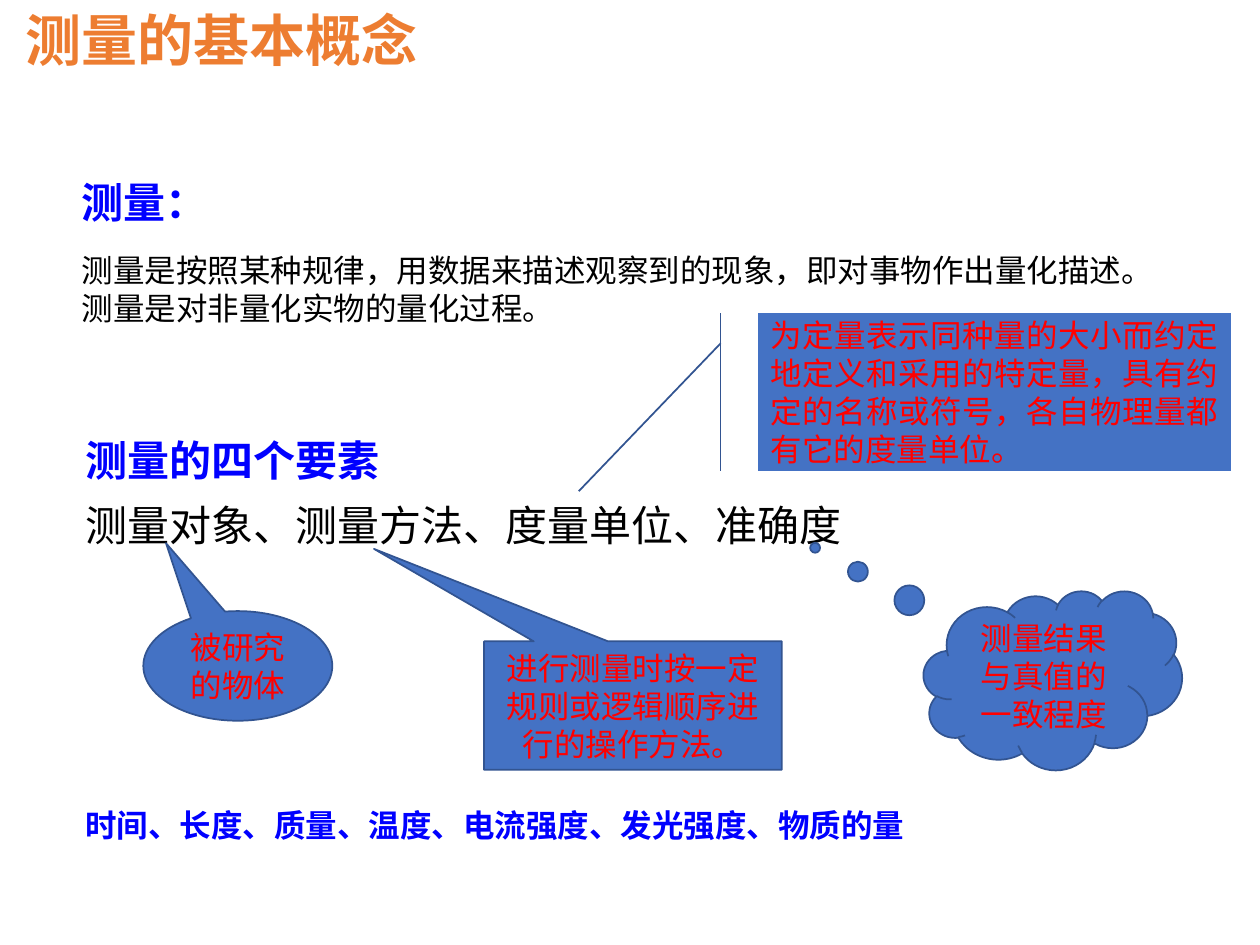
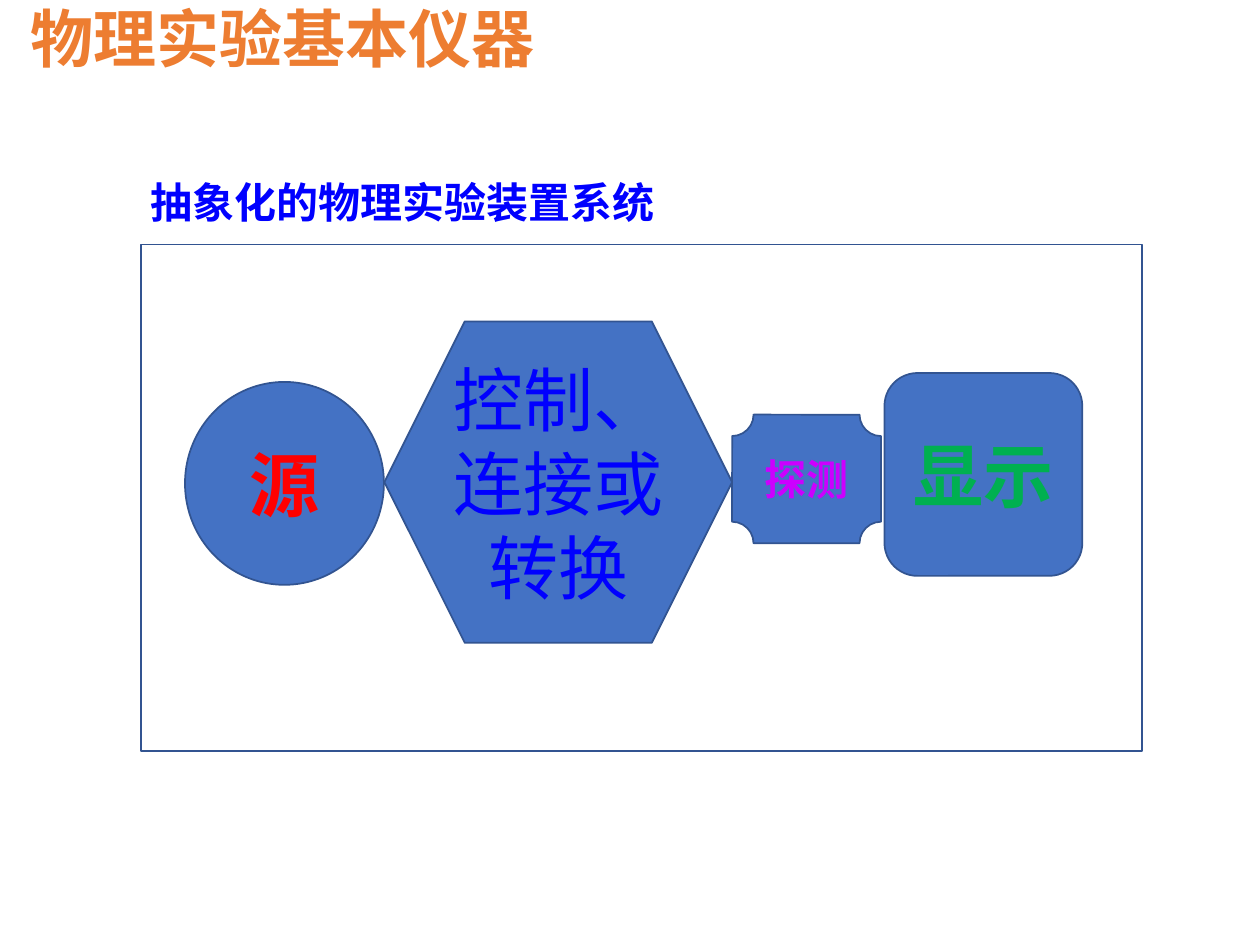
from dataclasses import dataclass

from pptx import Presentation, util as u
from pptx.dml.color import RGBColor
from pptx.enum import shapes, text

KIND = shapes.MSO_SHAPE
ALIGN = text.PP_ALIGN
ANCHOR = text.MSO_ANCHOR

ORANGE, BLUE, BLACK, RED = "ED7D31", "0000FF", "000000", "FF0000"
GREEN, PURPLE, WHITE = "00B050", "CC00FF", "FFFFFF"
FILL, EDGE = "4472C4", "325491"
HEAD, BODY, NOTE = "Noto Sans CJK SC", "Arial", "Calibri"
Box = tuple[float, float, float, float]


@dataclass
class Line:
    words: str
    size: int = 18
    color: str = BLACK
    bold: bool = False
    space: float = 1.0


@dataclass
class Block:
    box: Box
    lines: list[Line]


@dataclass
class Figure:
    kind: KIND
    box: Box
    line: Line | None = None
    align: ALIGN = ALIGN.CENTER
    tip: tuple[float, ...] = ()
    fill: str = FILL


@dataclass
class Page:
    title: str
    size: int
    corner: tuple[float, float]
    items: list[Block | Figure]


def rgb(code: str) -> RGBColor:
    return RGBColor.from_string(code)


def place(box: Box) -> list[u.Cm]:
    return [u.Cm(n) for n in box]


def style(font, name: str, size: int, color: str, bold: bool) -> None:
    font.name, font.size, font.bold = name, u.Pt(size), bold
    font.color.rgb = rgb(color)


def write(para, line: Line, name: str) -> None:
    para.text = line.words
    para.line_spacing = line.space
    style(para.font, name, line.size, line.color, line.bold)


def add_box(slide, box: Box):
    frame = slide.shapes.add_textbox(*place(box)).text_frame
    frame.word_wrap = True
    return frame


def add_title(slide, page: Page) -> None:
    """Write the title after a wider 40 pt space that indents it."""
    frame = add_box(slide, (*page.corner, 14.5, 2.57))
    frame.vertical_anchor = ANCHOR.MIDDLE
    for words, size in ((" ", 40), (page.title, page.size)):
        run = frame.paragraphs[0].add_run()
        run.text = words
        style(run.font, HEAD, size, ORANGE, True)


def add_block(slide, block: Block) -> None:
    frame = add_box(slide, block.box)
    for i, line in enumerate(block.lines):
        para = frame.add_paragraph() if i else frame.paragraphs[0]
        write(para, line, BODY)


def add_figure(slide, fig: Figure) -> None:
    shape = slide.shapes.add_shape(fig.kind, *place(fig.box))
    shape.shadow.inherit = False
    shape.fill.solid()
    shape.fill.fore_color.rgb = rgb(fig.fill)
    shape.line.color.rgb = rgb(EDGE)
    shape.line.width = u.Pt(1)
    for i, value in enumerate(fig.tip):
        shape.adjustments[i] = value
    if fig.line:
        frame = shape.text_frame
        frame.word_wrap = True
        frame.vertical_anchor = ANCHOR.MIDDLE
        para = frame.paragraphs[0]
        write(para, fig.line, NOTE)
        para.alignment = fig.align


def header(words: str) -> Line:
    return Line(words, 24, BLUE, True, 1.3)


def remark(words: str) -> Line:
    return Line(words, color=RED)


PAGES = [
    Page("测量的基本概念", 32, (-0.05, -0.6), [
        Block((1.4, 3.12, 14.91, 1.45), [header("测量：")]),
        Block((1.4, 4.93, 21.9, 1.8), [Line(
            "测量是按照某种规律，用数据来描述观察到的现象，即对事物作出量化描述。"
            "测量是对非量化实物的量化过程。")]),
        Block((1.47, 8.33, 22.6, 2.92), [
            header("测量的四个要素"),
            Line("测量对象、测量方法、度量单位、准确度", 24, space=1.3)]),
        Figure(KIND.OVAL_CALLOUT, (2.89, 12.32, 3.81, 2.21),
               remark("被研究的物体"), tip=(-0.38, -1.12)),
        Figure(KIND.RECTANGULAR_CALLOUT, (9.76, 12.93, 6, 2.59),
               remark("进行测量时按一定规则或逻辑顺序进行的操作方法。"),
               tip=(-0.87, -1.22)),
        Figure(KIND.LINE_CALLOUT_1_ACCENT_BAR, (15.29, 6.32, 9.53, 3.17),
               remark("为定量表示同种量的大小而约定地定义和采用的特定量，"
                      "具有约定的名称或符号，各自物理量都有它的度量单位。"),
               ALIGN.JUSTIFY, (0.19, -0.08, 1.13, -0.38)),
        Figure(KIND.CLOUD_CALLOUT, (18.62, 11.91, 5.21, 3.61),
               remark("测量结果与真值的一致程度"), tip=(-0.92, -0.74)),
        Block((1.47, 16.13, 17.53, 1.02), [Line(
            "时间、长度、质量、温度、电流强度、发光强度、物质的量",
            color=BLUE, bold=True)]),
    ]),
    Page("物理实验基本仪器", 36, (0.05, -0.58), [
        Figure(KIND.RECTANGLE, (2.84, 4.93, 20.19, 10.21), fill=WHITE),
        Figure(KIND.ROUNDED_RECTANGLE, (17.83, 7.52, 3.99, 4.09),
               Line("显示", 40, GREEN, True)),
        Figure(KIND.OVAL, (3.73, 7.7, 4.01, 4.09),
               Line("源", 40, RED, True)),
        Figure(KIND.HEXAGON, (7.75, 6.48, 7.01, 6.48),
               Line("控制、连接或转换", 40, BLUE)),
        Figure(KIND.PLAQUE, (14.76, 8.36, 3, 2.59),
               Line("探测", 24, PURPLE, True)),
        Block((2.79, 3.12, 13.41, 1.45), [header("抽象化的物理实验装置系统")]),
    ]),
]


def main() -> None:
    deck = Presentation()
    deck.slide_width, deck.slide_height = u.Cm(25.4), u.Cm(19.05)
    for page in PAGES:
        slide = deck.slides.add_slide(deck.slide_layouts[6])
        add_title(slide, page)
        for item in page.items:
            if isinstance(item, Block):
                add_block(slide, item)
            else:
                add_figure(slide, item)
    deck.save("out.pptx")


if __name__ == "__main__":
    main()
